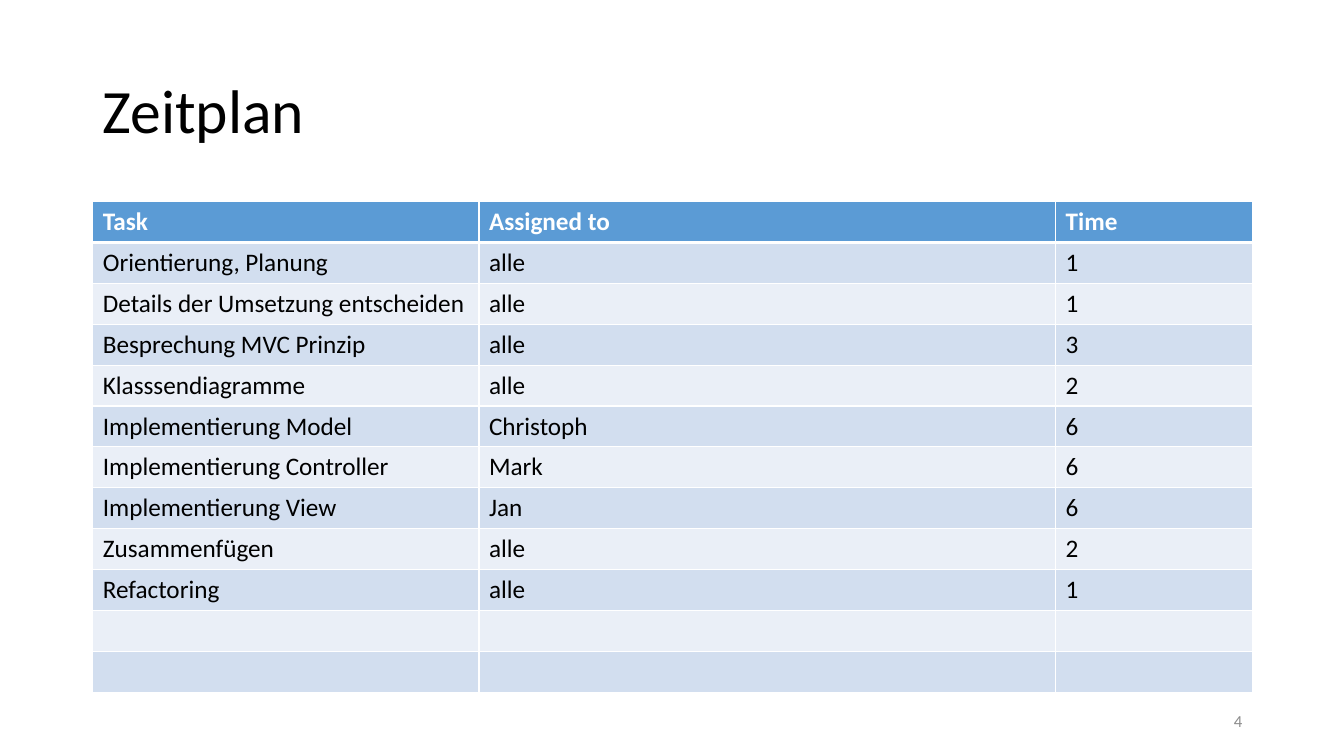
from lxml.etree import SubElement
from pptx import Presentation
from pptx.dml.color import RGBColor as RGB
from pptx.enum.text import MSO_ANCHOR as ANCHOR, PP_ALIGN as ALIGN
from pptx.oxml.ns import qn
from pptx.util import Inches, Pt

COLORS = {
    "text": "000000",
    "muted": "8C8C8C",
    "white": "FFFFFF",
    "header": "5B9BD5",
    "odd": "D2DEEF",
    "even": "EAEFF7",
}

SCHEDULE = [
    ("Task", "Assigned to", "Time"),
    ("Orientierung, Planung", "alle", "1"),
    ("Details der Umsetzung entscheiden", "alle", "1"),
    ("Besprechung MVC Prinzip", "alle", "3"),
    ("Klasssendiagramme", "alle", "2"),
    ("Implementierung Model", "Christoph", "6"),
    ("Implementierung Controller", "Mark", "6"),
    ("Implementierung View", "Jan", "6"),
    ("Zusammenfügen", "alle", "2"),
    ("Refactoring", "alle", "1"),
    ("", "", ""),
    ("", "", ""),
]


class SlideBuilder:
    font = "Calibri"

    def __init__(self, prs):
        self.s = prs.slides.add_slide(prs.slide_layouts[6])

    def style(self, p, size, color, bold=False):
        for r in p.runs:
            r.font.name = self.font
            r.font.size = Pt(size)
            r.font.bold = bold
            r.font.color.rgb = RGB.from_string(COLORS[color])

    def text(self, box, text, size, color, align=ALIGN.LEFT, spacing=1.0):
        sp = self.s.shapes.add_textbox(*map(Inches, box))
        tf = sp.text_frame
        tf.word_wrap = True
        tf.vertical_anchor = ANCHOR.MIDDLE
        tf.text = text
        p = tf.paragraphs[0]
        p.alignment = align
        p.line_spacing = spacing
        self.style(p, size, color)

    def borders(self, cell, top, bottom):
        tc_pr = cell._tc.get_or_add_tcPr()
        for side, width in zip("LRTB", (1, 1, top, bottom)):
            ln = SubElement(tc_pr, qn(f"a:ln{side}"), w=str(Pt(width)))
            fill = SubElement(ln, qn("a:solidFill"))
            SubElement(fill, qn("a:srgbClr"), val=COLORS["white"])

    def table(self, box, widths, rows):
        frame = self.s.shapes.add_table(len(rows), len(widths), *map(Inches, box))
        table = frame.table
        table.horz_banding = False
        for column, width in zip(table.columns, widths):
            column.width = Inches(width)
        for i, row in enumerate(rows):
            table.rows[i].height = Inches(box[3] / len(rows))
            is_header = i == 0
            fill = "header" if is_header else ("even", "odd")[i % 2]
            for j, text in enumerate(row):
                cell = table.cell(i, j)
                self.borders(cell, 3 if i == 1 else 1, 3 if is_header else 1)
                cell.fill.solid()
                cell.fill.fore_color.rgb = RGB.from_string(COLORS[fill])
                p = cell.text_frame.paragraphs[0]
                if text:
                    p.text = text
                    self.style(p, 18, "white" if is_header else "text", is_header)


def main():
    prs = Presentation()
    prs.slide_width = Inches(13.33)
    prs.slide_height = Inches(7.5)
    slide = SlideBuilder(prs)
    slide.text((0.92, 0.4, 11.5, 1.45), "Zeitplan", 44, "text", spacing=0.9)
    slide.text((9.42, 6.95, 3, 0.4), "4", 12, "muted", ALIGN.RIGHT)
    slide.table((0.92, 2, 11.5, 4.87), (3.83, 5.72, 1.95), SCHEDULE)
    prs.save("out.pptx")


if __name__ == "__main__":
    main()
